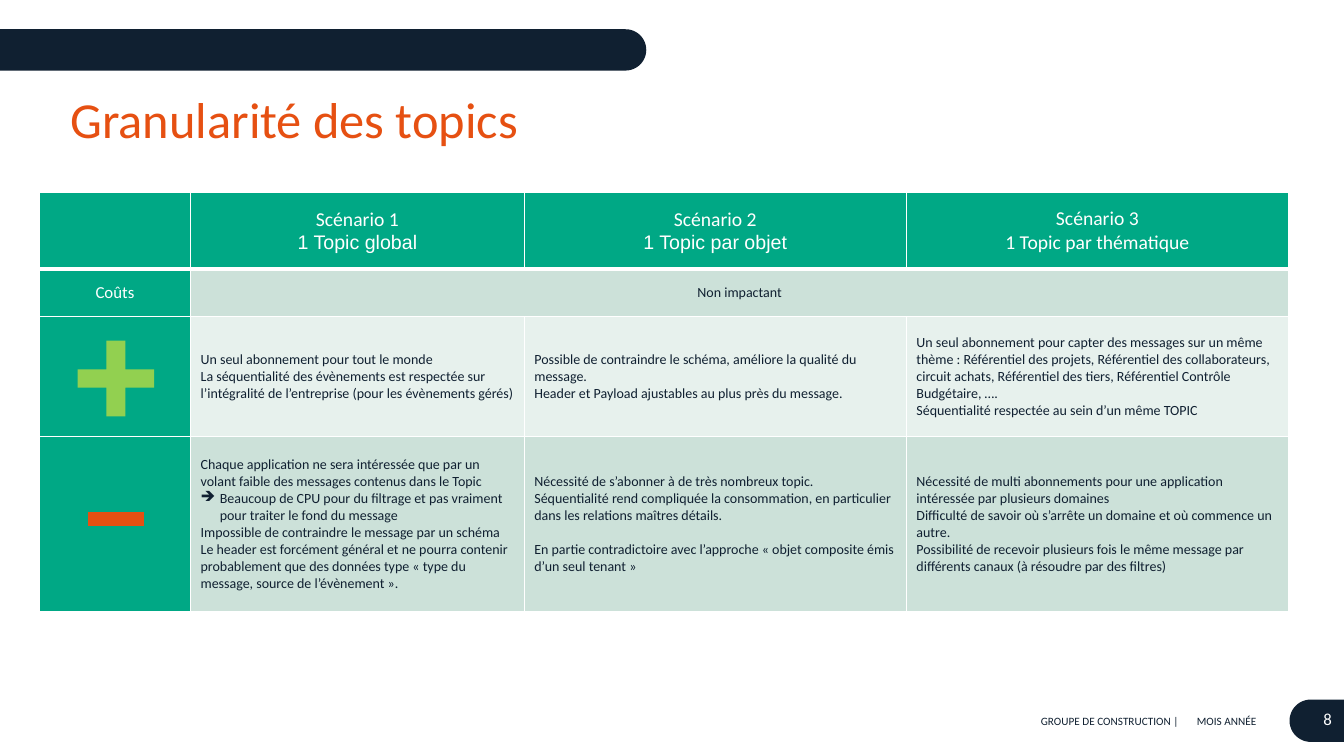
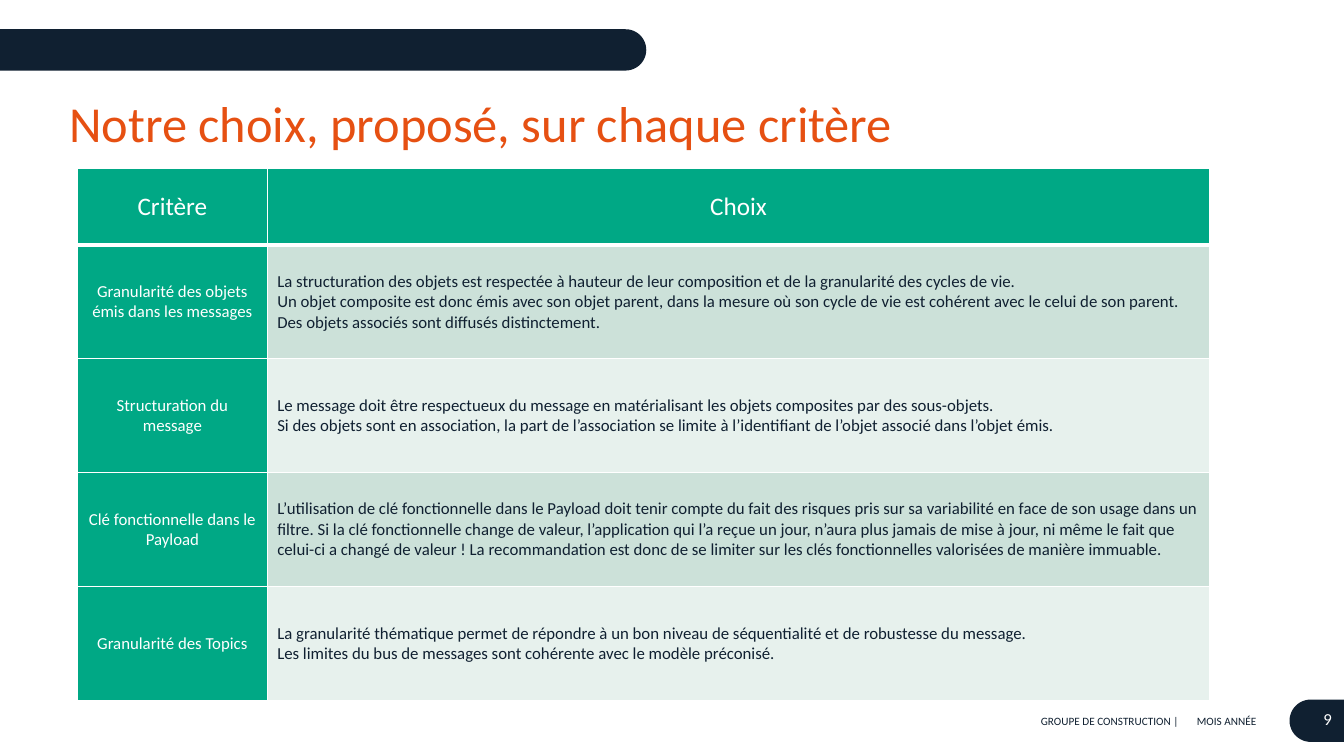
from math import cos, pi, sin

from lxml import etree
from pptx import Presentation
from pptx.dml.color import RGBColor
from pptx.enum.shapes import MSO_SHAPE
from pptx.enum.text import MSO_ANCHOR, PP_ALIGN
from pptx.oxml.ns import qn
from pptx.util import Inches, Pt

LEFT, CENTER, RIGHT = PP_ALIGN.LEFT, PP_ALIGN.CENTER, PP_ALIGN.RIGHT
TOP, MIDDLE = MSO_ANCHOR.TOP, MSO_ANCHOR.MIDDLE
PLUS, MINUS = MSO_SHAPE.CROSS, MSO_SHAPE.MATH_MINUS

# Shared look
NAVY, ORANGE, GREEN, LIME, WHITE = "102031", "E65012", "00A885", "92D050", "FFFFFF"
ROW_BANDS = ("CCE1D9", "E7F1ED")
BASE = {"name": "Calibri", "size": Pt(10), "color": NAVY, "alignment": LEFT}
TITLE = {**BASE, "size": Pt(36), "color": ORANGE, "line_spacing": 0.9}
FOOTER = {**BASE, "size": Pt(8)}
PAGE_NUMBER = {**BASE, "size": Pt(12), "color": WHITE, "alignment": RIGHT}
GREEN_CELL = {**BASE, "color": WHITE, "alignment": CENTER}
FONT_KEYS = ("name", "size")

# Variations of a single paragraph
ARIAL = {"name": "Arial"}
CENTERED = {"alignment": CENTER}
ARROW = {"bullet": "➔"}
AFTER_GAP = {"space_before": Pt(12.2)}

SCENARIOS = [
    [[],
     ["Scénario 1", ("1 Topic global", ARIAL)],
     ["Scénario 2", ("1 Topic par objet", ARIAL)],
     ["Scénario 3", "1 Topic par thématique"]],
    [["Coûts"], [("Non impactant", CENTERED)], [], []],
    [[],
     ["Un seul abonnement pour tout le monde",
      "La séquentialité des évènements est respectée sur l’intégralité de "
      "l’entreprise (pour les évènements gérés)"],
     ["Possible de contraindre le schéma, améliore la qualité du message.",
      "Header et Payload ajustables au plus près du message."],
     ["Un seul abonnement pour capter des messages sur un même thème : "
      "Référentiel des projets, Référentiel des collaborateurs, circuit achats, "
      "Référentiel des tiers, Référentiel Contrôle Budgétaire, ….",
      "Séquentialité respectée au sein d’un même TOPIC"]],
    [[],
     ["Chaque application ne sera intéressée que par un volant faible des "
      "messages contenus dans le Topic",
      ("Beaucoup de CPU pour du filtrage et pas vraiment pour traiter le fond "
       "du message", ARROW),
      "Impossible de contraindre le message par un schéma",
      "Le header est forcément général et ne pourra contenir probablement que "
      "des données type « type du message, source de l’évènement »."],
     ["Nécessité de s’abonner à de très nombreux topic.",
      "Séquentialité rend compliquée la consommation, en particulier dans les "
      "relations maîtres détails.",
      ("En partie contradictoire avec l’approche « objet composite émis d’un "
       "seul tenant »", AFTER_GAP)],
     ["Nécessité de multi abonnements pour une application intéressée par "
      "plusieurs domaines",
      "Difficulté de savoir où s’arrête un domaine et où commence un autre.",
      "Possibilité de recevoir plusieurs fois le même message par différents "
      "canaux (à résoudre par des filtres)"]],
]

CHOICES = [
    [["Critère"], ["Choix"]],
    [["Granularité des objets émis dans les messages"],
     ["La structuration des objets est respectée à hauteur de leur composition "
      "et de la granularité des cycles de vie.",
      "Un objet composite est donc émis avec son objet parent, dans la mesure où "
      "son cycle de vie est cohérent avec le celui de son parent.",
      "Des objets associés sont diffusés distinctement."]],
    [["Structuration du message"],
     ["Le message doit être respectueux du message en matérialisant les objets "
      "composites par des sous-objets.",
      "Si des objets sont en association, la part de l’association se limite à "
      "l’identifiant de l’objet associé dans l’objet émis."]],
    [["Clé fonctionnelle dans le Payload"],
     ["L’utilisation de clé fonctionnelle dans le Payload doit tenir compte du "
      "fait des risques pris sur sa variabilité en face de son usage dans un "
      "filtre. Si la clé fonctionnelle change de valeur, l’application qui l’a "
      "reçue un jour, n’aura plus jamais de mise à jour, ni même le fait que "
      "celui-ci a changé de valeur ! La recommandation est donc de se limiter "
      "sur les clés fonctionnelles valorisées de manière immuable."]],
    [["Granularité des Topics"],
     ["La granularité thématique permet de répondre à un bon niveau de "
      "séquentialité et de robustesse du message.",
      "Les limites du bus de messages sont cohérente avec le modèle préconisé."]],
]


def rgb(color):
    return RGBColor.from_string(color)


def paint(shape, color):
    shape.shadow.inherit = False
    shape.fill.solid()
    shape.fill.fore_color.rgb = rgb(color)
    shape.line.fill.background()


def add_bullet(paragraph, character):
    properties = paragraph._p.get_or_add_pPr()
    properties.set("marL", str(Inches(0.19)))
    properties.set("indent", str(-Inches(0.19)))
    etree.SubElement(properties, qn("a:buChar")).set("char", character)


def write(frame, lines, style):
    """Fill a text frame; a line is a string or a (string, variations) pair."""
    for index, line in enumerate(lines):
        text, variations = (line, {}) if isinstance(line, str) else line
        paragraph = frame.add_paragraph() if index else frame.paragraphs[0]
        run = paragraph.add_run()
        run.text = text
        for key, value in {**style, **variations}.items():
            if key == "color":
                run.font.color.rgb = rgb(value)
            elif key == "bullet":
                add_bullet(paragraph, value)
            else:
                setattr(run.font if key in FONT_KEYS else paragraph, key, value)


def add_text(slide, box, text, style, anchor=MIDDLE, side_margin=0.1):
    frame = slide.shapes.add_textbox(*map(Inches, box)).text_frame
    layout = {"word_wrap": True, "vertical_anchor": anchor,
              "margin_left": Inches(side_margin),
              "margin_right": Inches(side_margin)}
    for key, value in layout.items():
        setattr(frame, key, value)
    write(frame, [text], style)


def add_half_pill(slide, flat_x, round_x, top, height):
    """Draw a bar with a flat end at flat_x and a half-round end at round_x."""
    radius = height / 2
    direction = 1 if round_x > flat_x else -1
    center_x = round_x - direction * radius
    angles = [pi * step / 24 - pi / 2 for step in range(25)]
    points = [(center_x + direction * radius * cos(angle),
               top + radius + radius * sin(angle)) for angle in angles]
    points.append((flat_x, top + height))
    builder = slide.shapes.build_freeform(Inches(flat_x), Inches(top), scale=1.0)
    builder.add_line_segments([(Inches(x), Inches(y)) for x, y in points])
    paint(builder.convert_to_shape(), NAVY)


def add_symbol(slide, kind, box, color):
    shape = slide.shapes.add_shape(kind, *map(Inches, box))
    paint(shape, color)
    return shape


def set_borders(cell, bottom_width):
    properties = cell._tc.get_or_add_tcPr()
    for side, width in (("L", 1), ("R", 1), ("T", 1), ("B", bottom_width)):
        line = etree.SubElement(properties, qn(f"a:ln{side}"), w=str(Pt(width)))
        fill = etree.SubElement(line, qn("a:solidFill"))
        etree.SubElement(fill, qn("a:srgbClr"), val=WHITE)


def add_grid(slide, left, top, widths, heights, rows, sizes):
    """Add a table; sizes are those of the header, the labels and the body."""
    header_size, label_size, body_size = map(Pt, sizes)
    table = slide.shapes.add_table(
        len(heights), len(widths), Inches(left), Inches(top),
        Inches(sum(widths)), Inches(sum(heights))).table
    table.horz_banding = False
    for column, width in zip(table.columns, widths):
        column.width = Inches(width)
    for row, height in zip(table.rows, heights):
        row.height = Inches(height)
    for row_index, row in enumerate(rows):
        for column_index, lines in enumerate(row):
            cell = table.cell(row_index, column_index)
            if row_index == 0:
                color, style = GREEN, {**GREEN_CELL, "size": header_size}
            elif column_index == 0:
                color, style = GREEN, {**GREEN_CELL, "size": label_size}
            else:
                color = ROW_BANDS[(row_index - 1) % 2]
                style = {**BASE, "size": body_size}
            set_borders(cell, 1 if row_index else 3)
            cell.fill.solid()
            cell.fill.fore_color.rgb = rgb(color)
            cell.vertical_anchor = MIDDLE
            write(cell.text_frame, lines, style)
    return table


def add_base_slide(presentation, title, title_left, title_top, number):
    slide = presentation.slides.add_slide(presentation.slide_layouts[6])
    # Top band and page tab
    add_half_pill(slide, 0, 6.41, 0.29, 0.41)
    add_half_pill(slide, 13.33, 12.79, 6.94, 0.42)
    # Footer
    add_text(slide, (11.87, 7.03, 0.79, 0.24), "MOIS ANNÉE", FOOTER, side_margin=0)
    add_text(slide, (9.09, 7.03, 2.7, 0.24), "GROUPE DE CONSTRUCTION |",
             {**FOOTER, "alignment": RIGHT})
    add_text(slide, (12.6, 6.98, 0.61, 0.3), str(number), PAGE_NUMBER, side_margin=0)
    # Title
    add_text(slide, (title_left, title_top, 12.12, 0.65), title, TITLE, TOP)
    return slide


def add_topics_slide(presentation):
    slide = add_base_slide(presentation, "Granularité des topics", 0.6, 0.89, 8)
    table = add_grid(slide, 0.39, 1.91, [1.5, 3.31, 3.79, 3.79],
                     [0.76, 0.47, 1.19, 1.74], SCENARIOS, (14, 12, 10))
    table.cell(1, 1).merge(table.cell(1, 3))
    plus = add_symbol(slide, PLUS, (0.77, 3.38, 0.76, 0.75), LIME)
    plus.adjustments[0] = 0.38
    add_symbol(slide, MINUS, (0.77, 4.85, 0.76, 0.59), ORANGE)


def add_choices_slide(presentation):
    slide = add_base_slide(presentation, "Notre choix, proposé, sur chaque critère",
                           0.59, 0.93, 9)
    add_grid(slide, 0.77, 1.67, [1.88, 9.35], [0.76] + [1.13] * 4,
             CHOICES, (18, 12, 12))


def main():
    presentation = Presentation()
    presentation.slide_width = Inches(13.33)
    presentation.slide_height = Inches(7.5)
    add_topics_slide(presentation)
    add_choices_slide(presentation)
    presentation.save("out.pptx")


if __name__ == "__main__":
    main()
